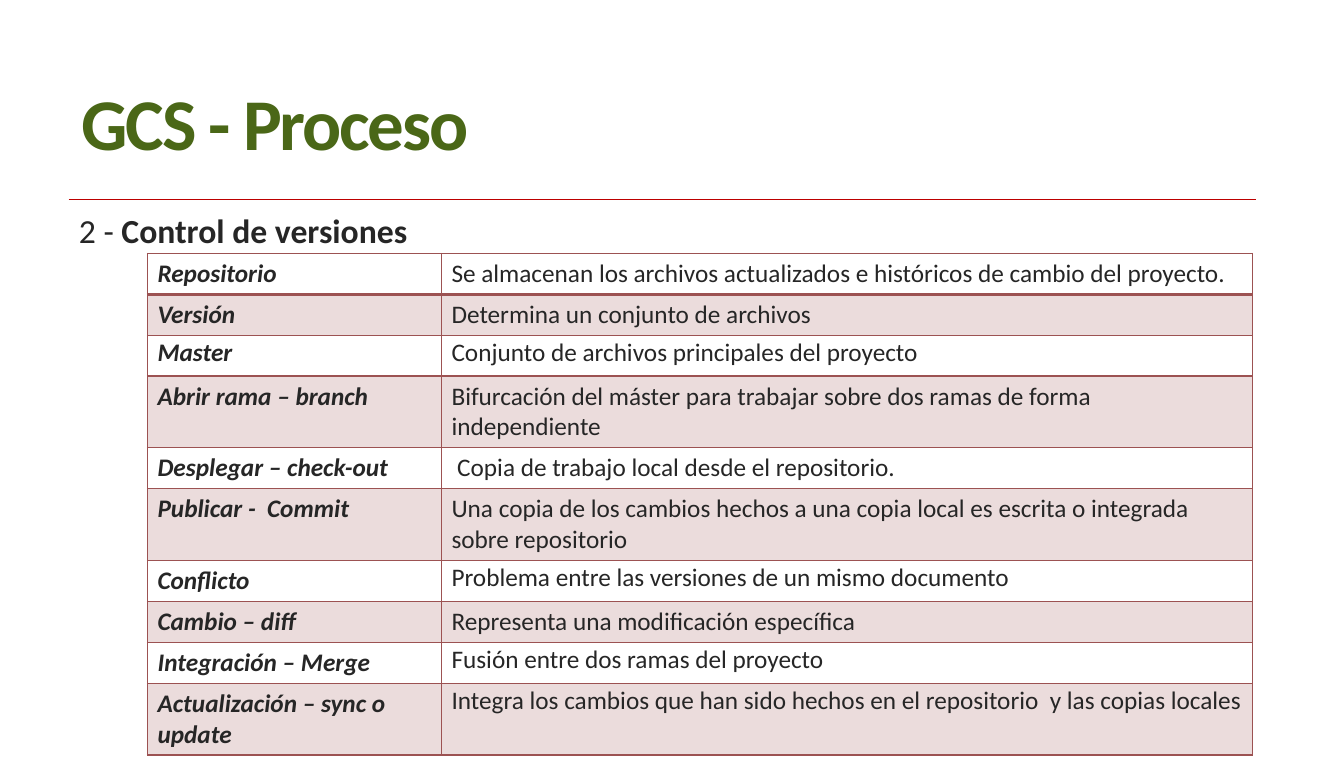
from lxml.etree import SubElement
from pptx import Presentation
from pptx.dml.color import RGBColor
from pptx.enum.shapes import MSO_CONNECTOR as Connector
from pptx.enum.text import MSO_ANCHOR as Anchor, MSO_AUTO_SIZE as AutoSize, PP_ALIGN as Align
from pptx.oxml.ns import qn
from pptx.util import Pt

FONT = "Calibri"
GREEN, RED, DARK = "4A6717", "BC0000", "262626"
BORDER, BAND, WHITE = "9C5252", "EBDCDC", "FFFFFF"
ROW_HEIGHT, TALL_ROW_HEIGHT = 29.16, 51.12
TIGHT = 0.85

# Term, definition, line spacing of each, row height
TERMS = [
    ("Repositorio",
     "Se almacenan los archivos actualizados e históricos de cambio del proyecto.",
     1, 1, ROW_HEIGHT),
    ("Versión", "Determina un conjunto de archivos", 1, 1, ROW_HEIGHT),
    ("Master", "Conjunto de archivos principales del proyecto", TIGHT, TIGHT, ROW_HEIGHT),
    ("Abrir rama – branch",
     "Bifurcación del máster para trabajar sobre dos ramas de forma independiente",
     1, 1, TALL_ROW_HEIGHT),
    ("Desplegar – check-out", " Copia de trabajo local desde el repositorio.",
     1, 1, ROW_HEIGHT),
    ("Publicar -  Commit",
     "Una copia de los cambios hechos a una copia local es escrita o integrada "
     "sobre repositorio", 1, 1, TALL_ROW_HEIGHT),
    ("Conflicto", "Problema entre las versiones de un mismo documento",
     1, TIGHT, ROW_HEIGHT),
    ("Cambio – diff", "Representa una modificación específica", 1, 1, ROW_HEIGHT),
    ("Integración – Merge", "Fusión entre dos ramas del proyecto", 1, TIGHT, ROW_HEIGHT),
    ("Actualización – sync o update",
     "Integra los cambios que han sido hechos en el repositorio  y las copias locales",
     1, TIGHT, TALL_ROW_HEIGHT),
]


def color(value):
    return RGBColor.from_string(value)


def add_run(paragraph, text, size, ink=DARK, bold=False, italic=False):
    run = paragraph.add_run()
    run.text = text
    font = run.font
    font.name, font.size, font.bold, font.italic = FONT, Pt(size), bold, italic
    font.color.rgb = color(ink)
    return run


def set_frame(frame, anchor):
    frame.word_wrap = True
    frame.auto_size = AutoSize.NONE
    frame.vertical_anchor = anchor
    frame.margin_left = frame.margin_right = Pt(9.2)
    frame.margin_top = frame.margin_bottom = Pt(4.3)


def place_title(slide, text):
    title = slide.shapes.title
    title.left, title.top, title.width, title.height = Pt(49), Pt(39.8), Pt(804), Pt(103)
    set_frame(title.text_frame, Anchor.MIDDLE)
    paragraph = title.text_frame.paragraphs[0]
    paragraph.alignment = Align.LEFT
    paragraph.line_spacing = TIGHT
    run = add_run(paragraph, text, 52, GREEN, bold=True)
    run.font._element.set("spc", "-157")


def add_rule(slide, left, right, top):
    rule = slide.shapes.add_connector(
        Connector.STRAIGHT, Pt(left), Pt(top), Pt(right), Pt(top))
    rule.line.color.rgb = color(RED)
    rule.line.width = Pt(0.75)
    SubElement(rule._element.spPr, qn("a:effectLst"))


def add_heading(slide, number, text):
    box = slide.shapes.add_textbox(Pt(47), Pt(145.3), Pt(500), Pt(34))
    set_frame(box.text_frame, Anchor.TOP)
    paragraph = box.text_frame.paragraphs[0]
    add_run(paragraph, number, 24)
    add_run(paragraph, text, 24, bold=True)


def set_borders(cell, widths):
    properties = cell._tc.get_or_add_tcPr()
    for side, width in widths.items():
        line = SubElement(properties, qn(f"a:ln{side}"), w=str(Pt(width)))
        fill = SubElement(line, qn("a:solidFill"))
        SubElement(fill, qn("a:srgbClr"), val=BORDER)


def fill_cell(cell, text, row, spacing, is_term):
    top = 2 if row == 1 else 1
    bottom = 2 if row == 0 else 1
    set_borders(cell, {"L": 1, "R": 1, "T": top, "B": bottom})
    cell.fill.solid()
    cell.fill.fore_color.rgb = color(BAND if row % 2 else WHITE)
    paragraph = cell.text_frame.paragraphs[0]
    paragraph.line_spacing = float(spacing)
    add_run(paragraph, text, 18, bold=is_term, italic=is_term)


def add_terms_table(slide):
    widths = (209.6, 578.4)
    height = sum(term[-1] for term in TERMS)
    table = slide.shapes.add_table(
        len(TERMS), 2, Pt(105.1), Pt(180.7), Pt(sum(widths)), Pt(height)).table
    table.first_row = table.horz_banding = False
    for column, width in zip(table.columns, widths):
        column.width = Pt(width)
    for row, (term, definition, term_spacing, spacing, height) in enumerate(TERMS):
        table.rows[row].height = Pt(height)
        fill_cell(table.cell(row, 0), term, row, term_spacing, True)
        fill_cell(table.cell(row, 1), definition, row, spacing, False)


def main():
    presentation = Presentation()
    presentation.slide_width, presentation.slide_height = Pt(958.12), Pt(552.75)
    slide = presentation.slides.add_slide(presentation.slide_layouts[5])

    # Title and rule
    add_rule(slide, 49, 895.7, 142.6)
    place_title(slide, "GCS - Proceso")

    # Version control glossary
    add_heading(slide, "2 - ", "Control de versiones")
    add_terms_table(slide)

    presentation.save("out.pptx")


if __name__ == "__main__":
    main()
